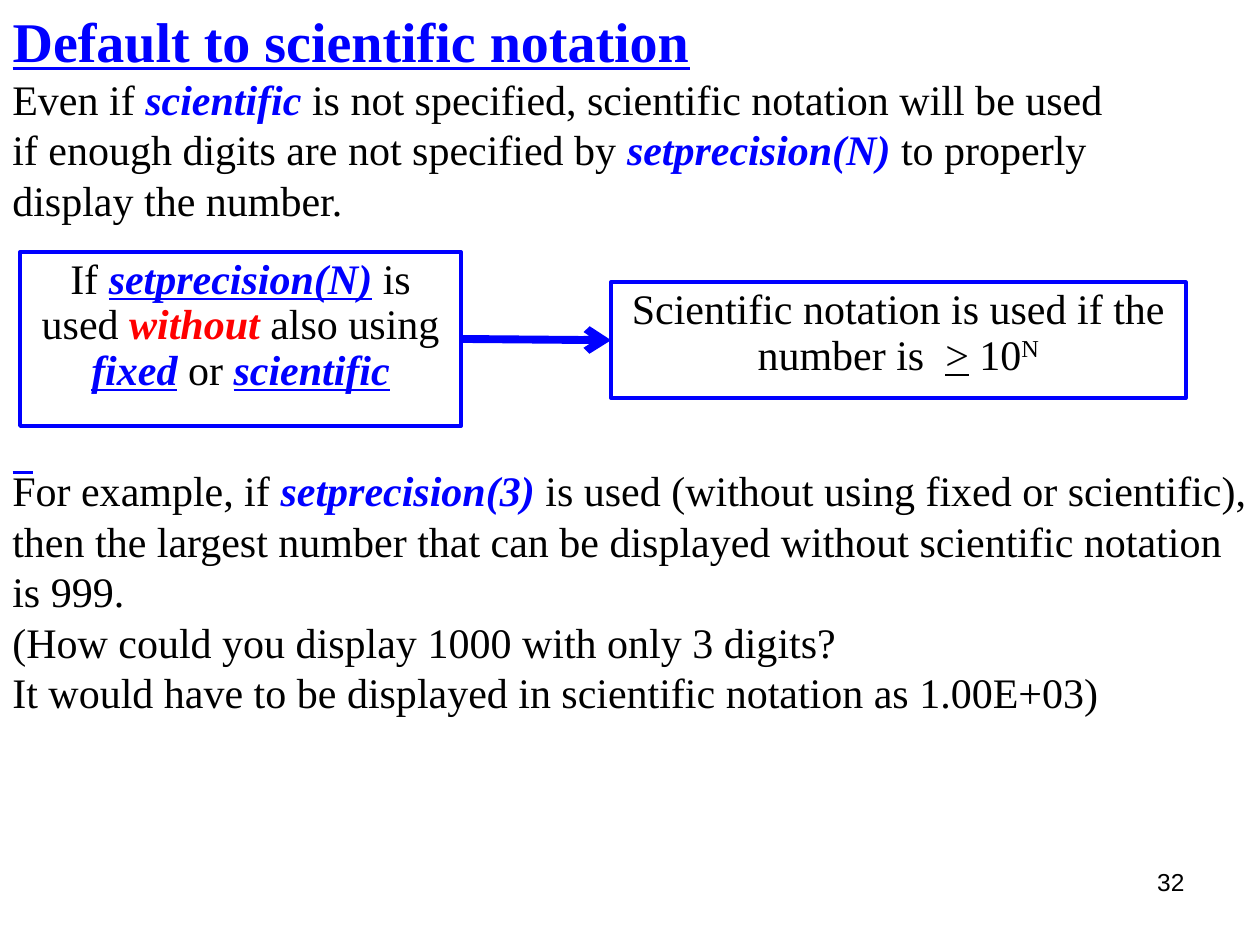
"""Build a slide on when scientific notation becomes the default."""
from lxml.etree import SubElement
from pptx import Presentation
from pptx.dml.color import RGBColor
from pptx.enum.shapes import MSO_CONNECTOR as Connector, MSO_SHAPE as Shape
from pptx.enum.text import MSO_ANCHOR as Anchor, MSO_AUTO_SIZE as AutoSize, PP_ALIGN as Align
from pptx.oxml.ns import qn
from pptx.util import Pt

THEME = {
    "serif": "Times New Roman", "sans": "Arial",
    "black": RGBColor(0, 0, 0), "blue": RGBColor(0, 0, 255), "red": RGBColor(255, 0, 0),
    "title": 32, "body": 24, "number": 14,
    "border": 2.25, "arrow": 4.5, "rule": 1.25,
}
STYLES = {
    "plain": {},
    "term": {"color": "blue", "bold": True, "italic": True},
    "key": {"color": "blue", "bold": True, "italic": True, "underline": True},
    "warn": {"color": "red", "bold": True, "italic": True},
    "title": {"color": "blue", "size": "title", "bold": True, "underline": True},
    "under": {"underline": True},
    "power": {"raised": True},
    "number": {"font": "sans", "size": "number"},
}

TITLE = [[("Default to scientific notation", "title")]]
INTRO = [[
    ("Even if ", "plain"), ("scientific", "term"),
    (" is not specified, scientific notation will be used if enough digits are not specified by ", "plain"),
    ("setprecision(N)", "term"), (" to properly display the number.", "plain"),
]]
CONDITION = [[
    ("If ", "plain"), ("setprecision(N)", "key"), (" is used ", "plain"), ("without", "warn"),
    (" also using ", "plain"), ("fixed", "key"), (" or ", "plain"), ("scientific", "key"),
]]
RESULT = [[
    ("Scientific notation is used if the number is  ", "plain"), (">", "under"),
    (" 10", "plain"), ("N", "power"),
]]
EXAMPLE = [
    [("For example, if ", "plain"), ("setprecision(3)", "term"),
     (" is used (without using fixed or scientific), then the largest number that can be "
      "displayed without scientific notation is 999.", "plain")],
    [("(How could you display 1000 with only 3 digits?", "plain")],
    [("It would have to be displayed in scientific notation as 1.00E+03)", "plain")],
]
PAGE_NUMBER = [[("32", "number")]]

TITLE_AREA = (0, 0, 648, 46)
TEXT_AREAS = [
    (INTRO, (0, 38.3, 648, 101.4), Align.LEFT),
    (EXAMPLE, (0, 262.1, 720, 152.6), Align.LEFT),
    (PAGE_NUMBER, (516.2, 491.8, 167.8, 37.4), Align.RIGHT),
]
CONDITION_AREA = (11.5, 144, 252, 99.4)
RESULT_AREA = (349.2, 161.3, 328.3, 66.2)
RULE = (7.2, 270, 19, 270)


def write(shape, paragraphs, align=Align.LEFT, spacing=None):
    frame = shape.text_frame
    frame.word_wrap = True
    frame.auto_size = AutoSize.NONE
    frame.vertical_anchor = Anchor.TOP
    for index, spans in enumerate(paragraphs):
        para = frame.add_paragraph() if index else frame.paragraphs[0]
        para.alignment = align
        para.space_before = Pt(0)
        para.line_spacing = spacing or 1.0
        for text, name in spans:
            style = STYLES[name]
            span = para.add_run()
            span.text = text
            font = span.font
            font.name = THEME[style.get("font", "serif")]
            font.size = Pt(THEME[style.get("size", "body")])
            font.color.rgb = THEME[style.get("color", "black")]
            font.bold = style.get("bold", False)
            font.italic = style.get("italic", False)
            font.underline = style.get("underline", False)
            if style.get("raised"):
                span._r.get_or_add_rPr().set("baseline", "30000")


def add_box(page, area, paragraphs):
    box = page.shapes.add_shape(Shape.RECTANGLE, *map(Pt, area))
    box.shadow.inherit = False
    box.fill.background()
    box.line.color.rgb = THEME["blue"]
    box.line.width = Pt(THEME["border"])
    write(box, paragraphs, Align.CENTER, 0.9)
    return box


def add_line(page, ends, width):
    line = page.shapes.add_connector(Connector.STRAIGHT, *map(Pt, ends))
    line.line.color.rgb = THEME["blue"]
    line.line.width = Pt(THEME[width])
    SubElement(line._element.spPr, qn("a:effectLst"))
    return line


def main():
    deck = Presentation()
    deck.slide_width, deck.slide_height = Pt(720), Pt(540)
    page = deck.slides.add_slide(deck.slide_layouts[5])

    title = page.shapes.title
    title.left, title.top, title.width, title.height = map(Pt, TITLE_AREA)
    write(title, TITLE)

    for paragraphs, area, align in TEXT_AREAS:
        write(page.shapes.add_textbox(*map(Pt, area)), paragraphs, align)

    condition = add_box(page, CONDITION_AREA, CONDITION)
    result = add_box(page, RESULT_AREA, RESULT)
    arrow = add_line(page, (0, 0, 0, 0), "arrow")
    arrow.begin_connect(condition, 3)
    arrow.end_connect(result, 1)
    SubElement(arrow.line._get_or_add_ln(), qn("a:tailEnd"), type="arrow")
    add_line(page, RULE, "rule")

    deck.save("out.pptx")


if __name__ == "__main__":
    main()
